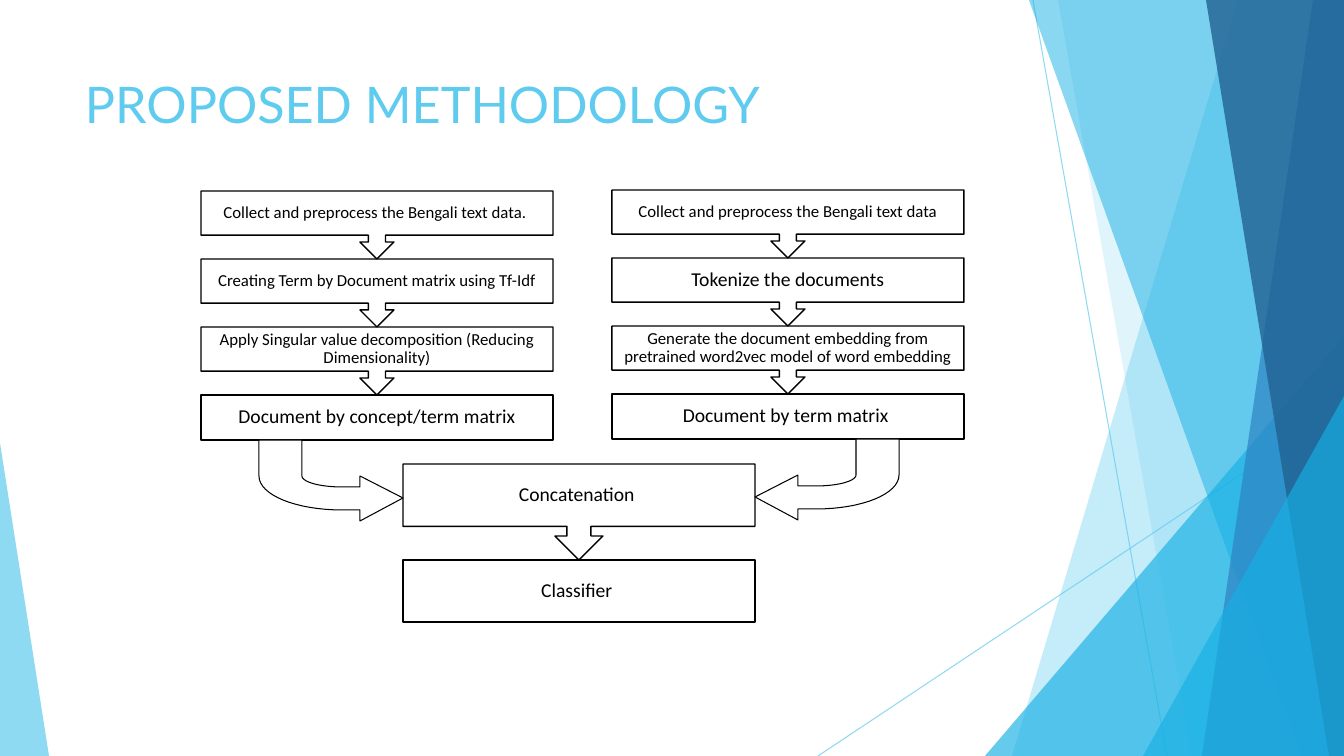
from lxml import etree
from pptx import Presentation
from pptx.dml.color import RGBColor
from pptx.enum.shapes import MSO_CONNECTOR, MSO_SHAPE
from pptx.enum.text import MSO_ANCHOR, PP_ALIGN
from pptx.oxml.ns import qn
from pptx.util import Pt

STRAIGHT = MSO_CONNECTOR.STRAIGHT
RECTANGLE = MSO_SHAPE.RECTANGLE
TRIANGLE = MSO_SHAPE.ISOSCELES_TRIANGLE
CALLOUT = MSO_SHAPE.DOWN_ARROW_CALLOUT
CENTER, LEFT = PP_ALIGN.CENTER, PP_ALIGN.LEFT
MIDDLE, TOP = MSO_ANCHOR.MIDDLE, MSO_ANCHOR.TOP

WIDTH, HEIGHT = 1344, 756
BLACK, WHITE = "000000", "FFFFFF"
SKY, CYAN, BLUE, NAVY = "5FCBEF", "17B0E4", "2E83C3", "226292"
CURVE_STEPS = 16


def px(length):
    return round(length * 12192000 / WIDTH)


def color(value):
    return RGBColor.from_string(value)


def curve(start, first, second, end):
    points = []
    for step in range(1, CURVE_STEPS + 1):
        t = step / CURVE_STEPS
        weights = ((1 - t) ** 3, 3 * t * (1 - t) ** 2, 3 * t * t * (1 - t), t ** 3)
        corners = (start, first, second, end)
        points.append(tuple(sum(w * c[axis] for w, c in zip(weights, corners))
                            for axis in (0, 1)))
    return points


class Painter:
    heading_font = "Lato"
    body_font = "Calibri"

    def __init__(self, page):
        self.shapes = page.shapes

    def fade(self, shape, opacity):
        for tint in shape._element.spPr.iter(qn("a:srgbClr")):
            etree.SubElement(tint, qn("a:alpha"), val=str(opacity * 1000))

    def paint(self, shape, fill, line=None, weight=1, opacity=100):
        shape.shadow.inherit = False
        shape.fill.solid()
        shape.fill.fore_color.rgb = color(fill)
        if line:
            shape.line.color.rgb = color(line)
            shape.line.width = Pt(weight)
        else:
            shape.line.fill.background()
        if opacity < 100:
            self.fade(shape, opacity)

    def ray(self, x1, y1, x2, y2):
        ray = self.shapes.add_connector(STRAIGHT, px(x1), px(y1), px(x2), px(y2))
        ray.line.color.rgb = color(SKY)
        ray.line.width = Pt(0.75)
        self.fade(ray, 70)
        etree.SubElement(ray._element.spPr, qn("a:effectLst"))

    def outline(self, points, fill, **style):
        points = [(px(x), px(y)) for x, y in points]
        builder = self.shapes.build_freeform(*points[0])
        builder.add_line_segments(points[1:], close=True)
        self.paint(builder.convert_to_shape(), fill, **style)

    def triangle(self, left, top, width, apex, fill, opacity):
        shape = self.shapes.add_shape(TRIANGLE, px(left), px(top), px(width), px(HEIGHT - top))
        shape.adjustments[0] = apex
        self.paint(shape, fill, opacity=opacity)

    def label(self, shape, text, size, font, ink, align, anchor, inset):
        frame = shape.text_frame
        frame.word_wrap = True
        frame.vertical_anchor = anchor
        frame.margin_left = frame.margin_right = px(inset)
        frame.margin_top = frame.margin_bottom = px(inset // 2 if anchor == TOP else inset)
        para = frame.paragraphs[0]
        para.alignment = align
        if align == CENTER:
            para.line_spacing = 0.9
        span = para.add_run()
        span.text = text
        span.font.size = Pt(size)
        span.font.name = font
        span.font.color.rgb = color(ink)

    def title(self, text, left, top, width, height):
        box = self.shapes.add_textbox(px(left), px(top), px(width), px(height))
        self.label(box, text, 36, self.heading_font, SKY, LEFT, TOP, 10)

    def step(self, kind, left, top, height, text, size):
        box = self.shapes.add_shape(kind, px(left), px(top), px(352), px(height))
        self.paint(box, WHITE, BLACK)
        inset = 9 if size == 12 else 11
        self.label(box, text, size, self.body_font, BLACK, CENTER, MIDDLE, inset)

    def column(self, left, top, pitch, last_height, steps):
        for row, (text, size) in reversed(list(enumerate(steps))):
            last = row == len(steps) - 1
            self.step(RECTANGLE if last else CALLOUT, left, top + row * pitch,
                      last_height if last else pitch, text, size)

    def bent_arrow(self, tip_x, tip_y, side):
        outer = curve((61, 12), (107, 12), (144, -3), (144, -22))
        inner = curve((101, -22), (101, -16), (83, -11), (61, -11))
        points = [(0, 0), (43, 23), (43, 12), (61, 12), *outer, (144, -58),
                  (101, -58), (101, -22), *inner, (43, -11), (43, -22)]
        self.outline([(tip_x + side * x, tip_y + y) for x, y in points],
                     WHITE, line=BLACK, weight=0.75)


def draw_backdrop(painter):
    painter.ray(1033, 0, 1167, HEIGHT)
    painter.ray(WIDTH, 406, 818, HEIGHT)

    def band(top_x, bottom_x, fill, opacity):
        painter.outline([(top_x, 0), (WIDTH, 0), (WIDTH, HEIGHT), (bottom_x, HEIGHT)],
                        fill, opacity=opacity)

    band(1238, 1012, SKY, 36)
    band(1058, 1192, SKY, 20)
    painter.triangle(985, 336, 359, 1, CYAN, 66)
    band(1029, 1301, CYAN, 50)
    band(1313, 1202, BLUE, 70)
    band(1206, 1329, NAVY, 80)
    painter.triangle(1143, 396, 201, 1, CYAN, 66)
    painter.triangle(0, 443, 49, 0, SKY, 70)


def main():
    deck = Presentation()
    deck.slide_width, deck.slide_height = px(WIDTH), px(HEIGHT)
    page = deck.slides.add_slide(deck.slide_layouts[6])
    painter = Painter(page)
    draw_backdrop(painter)
    painter.title("PROPOSED METHODOLOGY", 75, 68, 948, 145)
    painter.column(201, 191, 68, 45, [
        ("Collect and preprocess the Bengali text data. ", 12),
        ("Creating Term by Document matrix using Tf-Idf", 12),
        ("Apply Singular value decomposition (Reducing Dimensionality)", 12),
        ("Document by concept/term matrix", 14),
    ])
    painter.column(612, 190, 68, 45, [
        ("Collect and preprocess the Bengali text data", 12),
        ("Tokenize the documents", 14),
        ("Generate the document embedding from pretrained word2vec model of word embedding", 12),
        ("Document by term matrix ", 14),
    ])
    painter.column(403, 464, 96, 62, [("Concatenation ", 14), ("Classifier ", 14)])
    painter.bent_arrow(755, 497, 1)
    painter.bent_arrow(403, 498, -1)
    deck.save("out.pptx")


if __name__ == "__main__":
    main()
